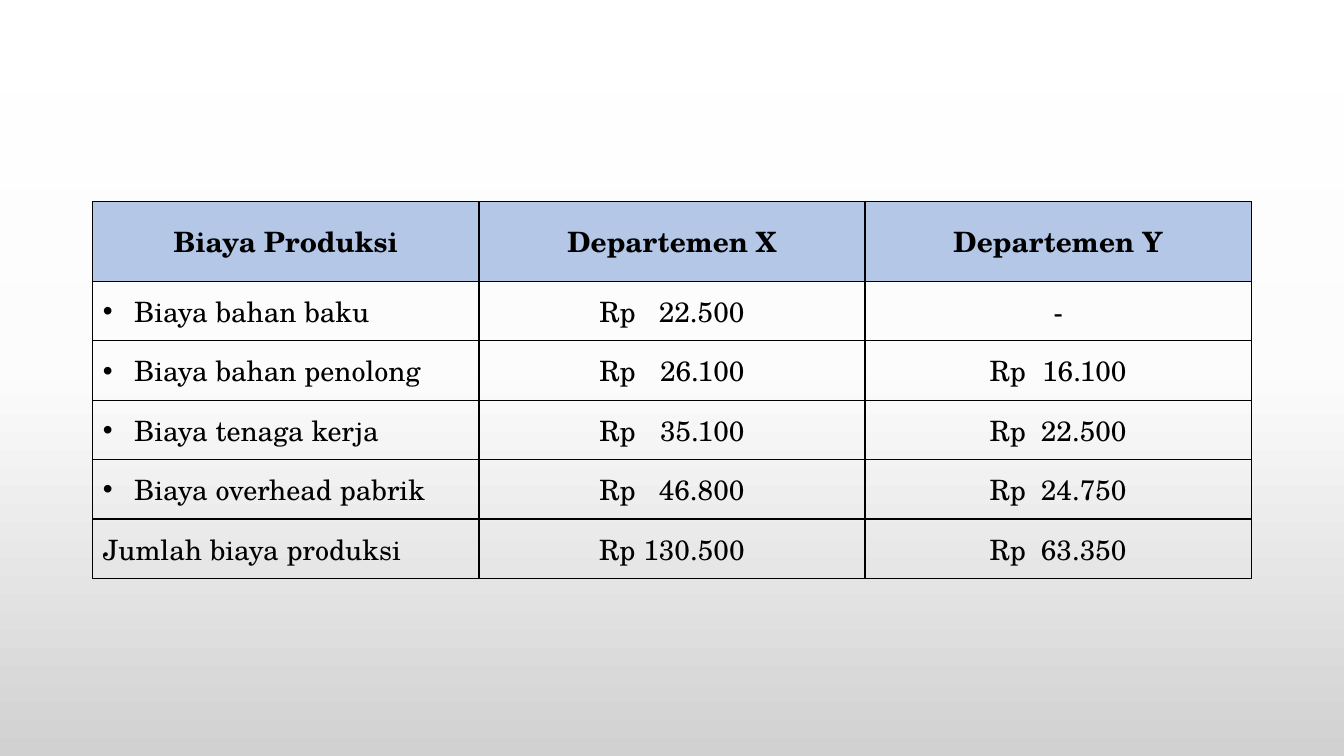
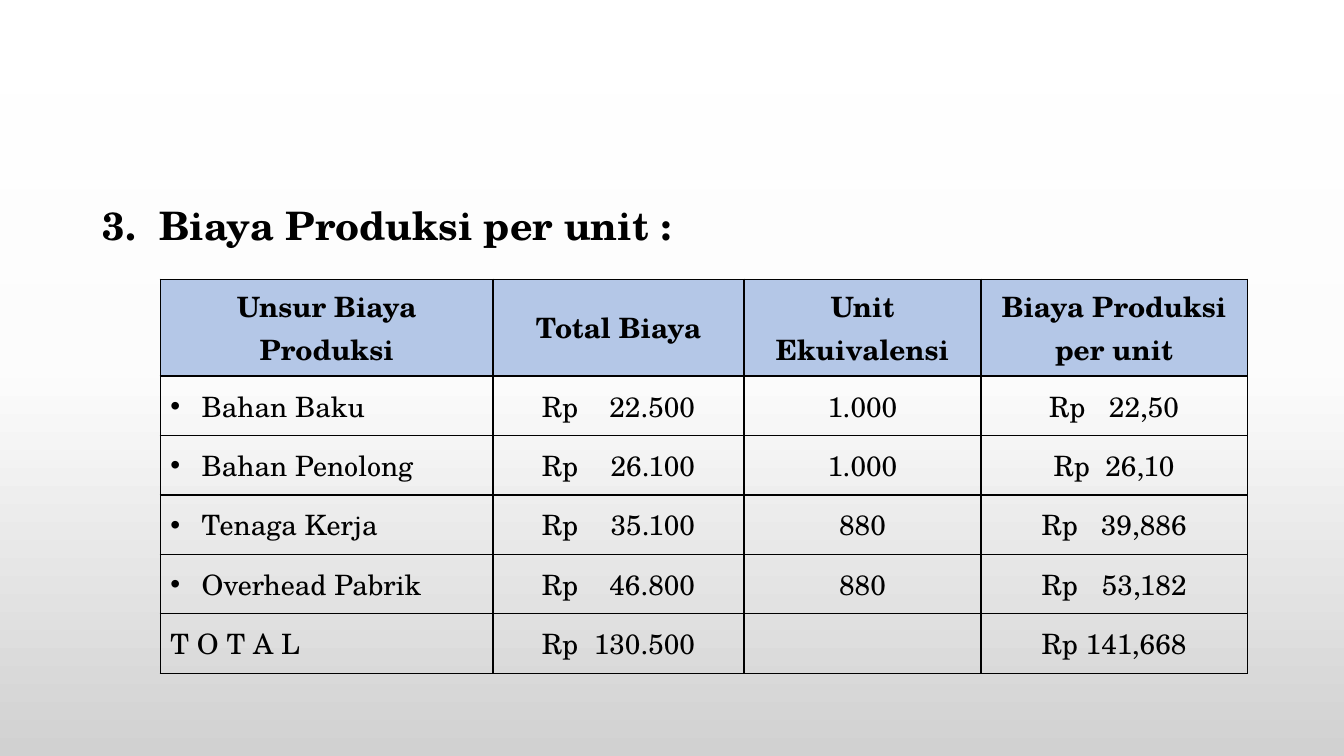
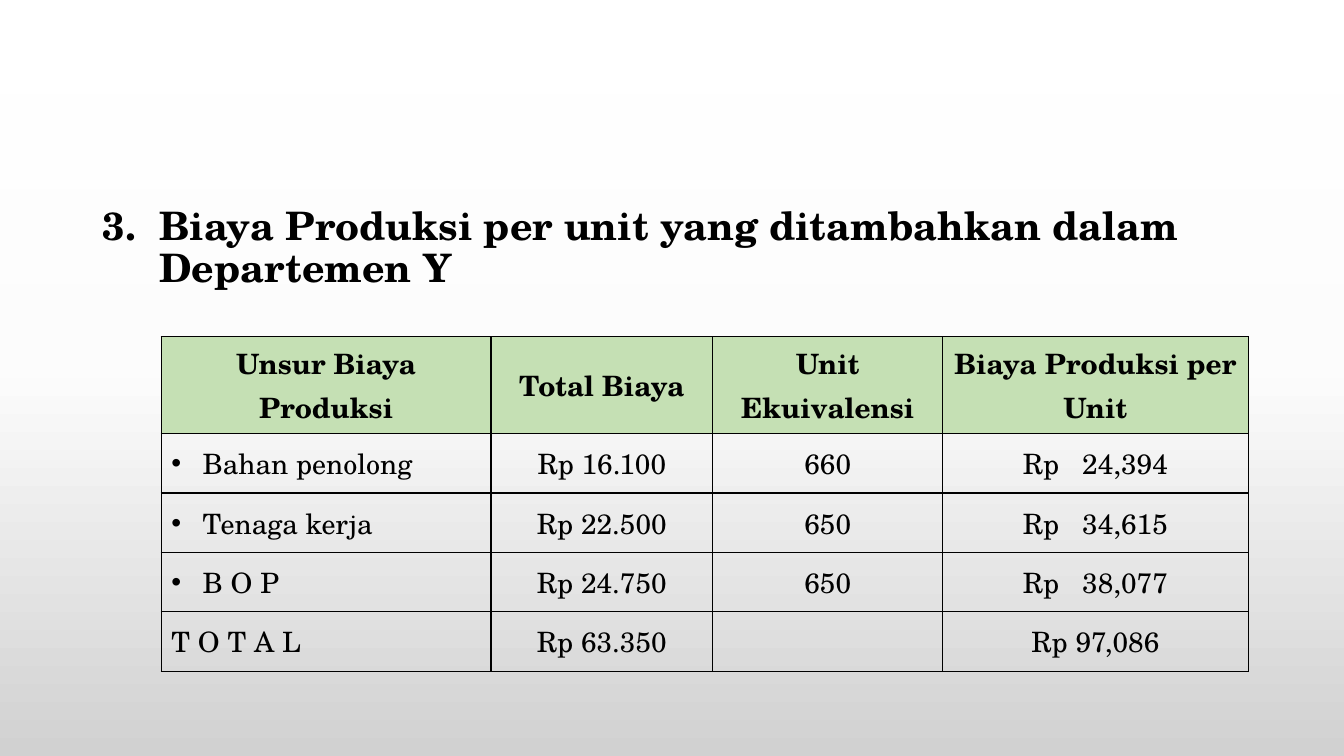
"""Build three slides of production cost tables."""
from copy import deepcopy
from dataclasses import dataclass

from pptx import Presentation
from pptx.dml.color import RGBColor
from pptx.enum.text import MSO_ANCHOR, MSO_AUTO_SIZE, PP_ALIGN
from pptx.oxml.ns import qn
from pptx.util import Inches, Pt
from lxml import etree

BLACK = RGBColor(0x00, 0x00, 0x00)
BLUE = RGBColor(0xB4, 0xC7, 0xE7)
GREEN = RGBColor(0xC5, 0xE0, 0xB4)
BACKGROUND_STOPS = (
    (0, RGBColor(0xFF, 0xFF, 0xFF)),
    (0.125, RGBColor(0xFE, 0xFE, 0xFE)),
    (0.25, RGBColor(0xFD, 0xFD, 0xFD)),
    (0.375, RGBColor(0xFC, 0xFC, 0xFC)),
    (0.5, RGBColor(0xFB, 0xFB, 0xFB)),
    (1, RGBColor(0xD1, 0xD1, 0xD1)),
)
FONT = "TeX Gyre Schola"
LEFT, CENTER = PP_ALIGN.LEFT, PP_ALIGN.CENTER
TOP, MIDDLE = MSO_ANCHOR.TOP, MSO_ANCHOR.MIDDLE
NO_AUTOFIT = MSO_AUTO_SIZE.NONE
TITLE_ONLY, BLANK = 5, 6
HEADING_LEFT, HEADING_TOP, HEADING_WIDTH = 0.92, 2, 11.5
HEADER_HEIGHT, ROW_HEIGHT = 0.79, 0.59


@dataclass(frozen=True)
class Money:
    """A rupiah amount set flush right in a centred block."""
    amount: str
    width: float = 1.44


@dataclass(frozen=True)
class CostTable:
    """One slide: an optional heading and its cost table."""
    left: float
    top: float
    columns: tuple[float, ...]
    header_color: RGBColor
    rows: tuple[tuple[str | Money, ...], ...]
    heading: str = ""


COST_TABLES = (
    CostTable(0.92, 2, (3.83, 3.83, 3.83), BLUE, (
        ("Biaya Produksi", "Departemen X", "Departemen Y"),
        ("Biaya bahan baku", Money("22.500"), "-"),
        ("Biaya bahan penolong", Money("26.100"), Money("16.100", 1.36)),
        ("Biaya tenaga kerja", Money("35.100"), Money("22.500", 1.36)),
        ("Biaya overhead pabrik", Money("46.800"), Money("24.750", 1.36)),
        ("Jumlah biaya produksi", "Rp 130.500", Money("63.350", 1.36)),
    )),
    CostTable(1.59, 2.77, (3.3, 2.49, 2.35, 2.64), BLUE, (
        ("Unsur Biaya Produksi", "Total Biaya", "Unit Ekuivalensi",
         "Biaya Produksi per unit"),
        ("Bahan Baku", Money("22.500", 1.52), "1.000", Money("22,50", 1.29)),
        ("Bahan Penolong", Money("26.100", 1.52), "1.000", Money("26,10", 1.2)),
        ("Tenaga Kerja", Money("35.100", 1.52), "880", Money("39,886")),
        ("Overhead Pabrik", Money("46.800", 1.52), "880", Money("53,182")),
        ("T O T A L", Money("130.500", 1.52), "", "Rp 141,668"),
    ), "Biaya Produksi per unit :"),
    CostTable(1.6, 3.34, (3.27, 2.2, 2.28, 3.03), GREEN, (
        ("Unsur Biaya Produksi", "Total Biaya", "Unit Ekuivalensi",
         "Biaya Produksi per Unit"),
        ("Bahan penolong", "Rp 16.100", "660", Money("24,394")),
        ("Tenaga kerja", "Rp 22.500", "650", Money("34,615")),
        ("B O P", "Rp 24.750", "650", Money("38,077")),
        ("T O T A L", "Rp 63.350", "", "Rp 97,086"),
    ), "Biaya Produksi per unit yang ditambahkan dalam Departemen Y"),
)


def set_background(master) -> None:
    """Give the master the shared vertical gradient."""
    fill = master.background.fill
    fill.gradient()
    fill.gradient_angle = 270
    stop_list = master.element.xpath("p:cSld/p:bg/p:bgPr/a:gradFill/a:gsLst")[0]
    while len(stop_list) < len(BACKGROUND_STOPS):
        stop_list.append(deepcopy(stop_list[-1]))
    for stop, (position, color) in zip(fill.gradient_stops, BACKGROUND_STOPS):
        stop.position = position
        stop.color.rgb = color


def add_marker(paragraph, indent: float, tag: str, **attributes: str) -> None:
    """Hang a bullet or number before the paragraph."""
    properties = paragraph._p.get_or_add_pPr()
    properties.set("marL", str(Inches(indent)))
    properties.set("indent", str(-Inches(indent)))
    etree.SubElement(properties, qn("a:buFont" if tag == "a:buChar" else "a:buFontTx"),
                     {"typeface": "Arial"} if tag == "a:buChar" else {})
    etree.SubElement(properties, qn(tag), attributes)


def add_right_tab(paragraph, position: float) -> None:
    """Add a right-aligned tab stop."""
    tabs = etree.SubElement(paragraph._p.get_or_add_pPr(), qn("a:tabLst"))
    etree.SubElement(tabs, qn("a:tab"), pos=str(Inches(position)), algn="r")


def style_font(paragraph, size: int, bold: bool) -> None:
    """Apply the shared typeface to a paragraph."""
    font = paragraph.font
    font.name, font.size, font.bold = FONT, Pt(size), bold
    font.color.rgb = BLACK


def add_borders(cell) -> None:
    """Draw a thin black line on each side of a cell."""
    properties = cell._tc.get_or_add_tcPr()
    for side in ("L", "R", "T", "B"):
        line = etree.SubElement(properties, qn(f"a:ln{side}"), w=str(Pt(1)))
        fill = etree.SubElement(line, qn("a:solidFill"))
        etree.SubElement(fill, qn("a:srgbClr"), val=str(BLACK))


def write_heading(slide, text: str, height: float) -> None:
    """Place the numbered heading in the title placeholder."""
    title = slide.shapes.title
    title.left, title.top = Inches(HEADING_LEFT), Inches(HEADING_TOP)
    title.width, title.height = Inches(HEADING_WIDTH), Inches(height)
    frame = title.text_frame
    frame.text = text
    frame.vertical_anchor = TOP
    frame.auto_size = NO_AUTOFIT
    paragraph = frame.paragraphs[0]
    add_marker(paragraph, 0.56, "a:buAutoNum", type="arabicPeriod", startAt="3")
    paragraph.alignment = LEFT
    paragraph.line_spacing = 0.9
    style_font(paragraph, 28, True)


def write_cell(cell, content: str | Money, width: float, is_header: bool,
               is_label: bool, is_bulleted: bool) -> None:
    """Write and align one table cell."""
    cell.vertical_anchor = MIDDLE
    paragraph = cell.text_frame.paragraphs[0]
    paragraph.alignment = LEFT if is_label or isinstance(content, Money) else CENTER
    if isinstance(content, Money):
        cell.margin_left = Inches((width - content.width) / 2)
        add_right_tab(paragraph, content.width)
        paragraph.text = f"Rp\t{content.amount}"
    else:
        paragraph.text = content
    if is_bulleted:
        add_marker(paragraph, 0.31, "a:buChar", char="•")
    style_font(paragraph, 20, is_header)


def add_cost_table(slide, cost_table: CostTable) -> None:
    """Add the bordered table with its coloured header row."""
    row_count = len(cost_table.rows)
    height = HEADER_HEIGHT + ROW_HEIGHT * (row_count - 1)
    table = slide.shapes.add_table(
        row_count, len(cost_table.columns), Inches(cost_table.left),
        Inches(cost_table.top), Inches(sum(cost_table.columns)), Inches(height)).table
    table.first_row = table.horz_banding = False
    for column, width in zip(table.columns, cost_table.columns):
        column.width = Inches(width)
    for row_index, contents in enumerate(cost_table.rows):
        is_header = row_index == 0
        is_total = row_index == row_count - 1
        table.rows[row_index].height = Inches(HEADER_HEIGHT if is_header else ROW_HEIGHT)
        for column_index, content in enumerate(contents):
            cell = table.cell(row_index, column_index)
            is_label = column_index == 0 and not is_header
            write_cell(cell, content, cost_table.columns[column_index], is_header,
                       is_label, is_label and not is_total)
            add_borders(cell)
            if is_header:
                cell.fill.solid()
                cell.fill.fore_color.rgb = cost_table.header_color
            else:
                cell.fill.background()


def main() -> None:
    """Build and save the presentation."""
    presentation = Presentation()
    presentation.slide_width, presentation.slide_height = Inches(13.33), Inches(7.5)
    set_background(presentation.slide_master)
    for cost_table in COST_TABLES:
        layout = presentation.slide_layouts[TITLE_ONLY if cost_table.heading else BLANK]
        slide = presentation.slides.add_slide(layout)
        if cost_table.heading:
            write_heading(slide, cost_table.heading, cost_table.top - HEADING_TOP)
        add_cost_table(slide, cost_table)
    presentation.save("out.pptx")


if __name__ == "__main__":
    main()
